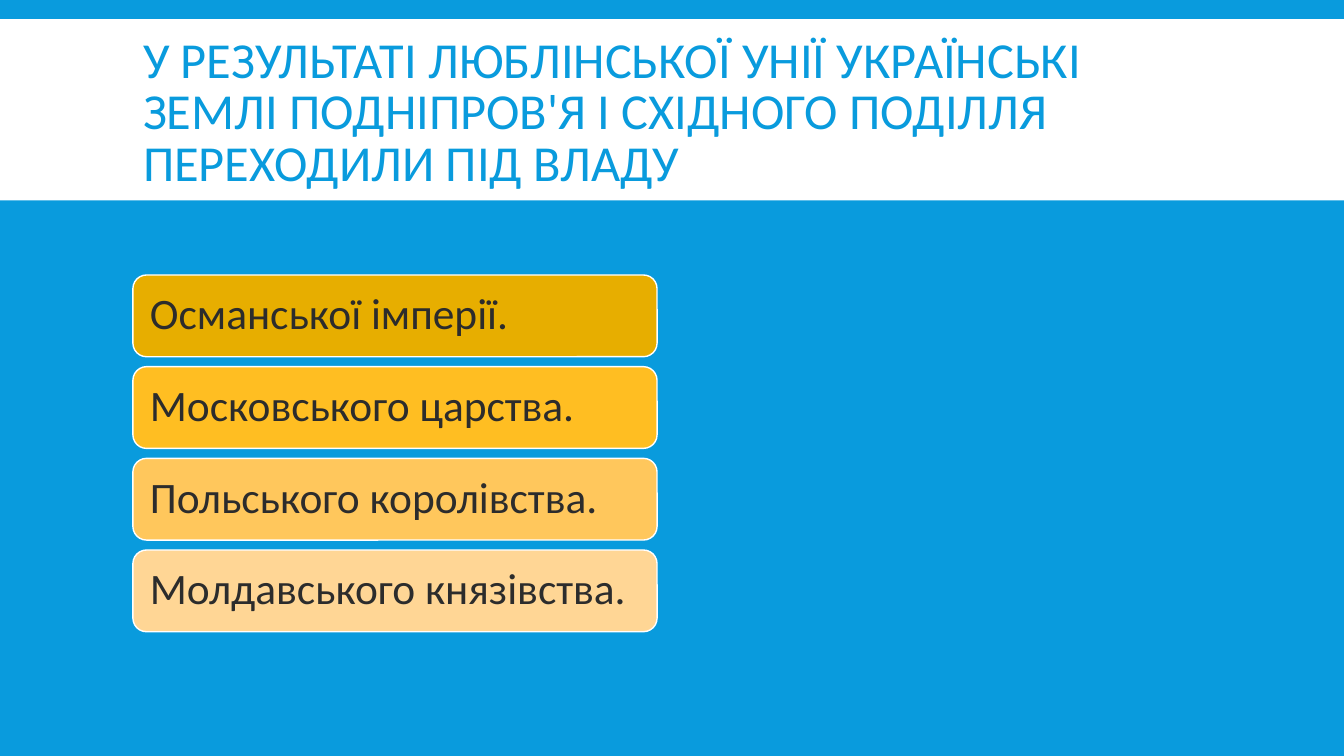
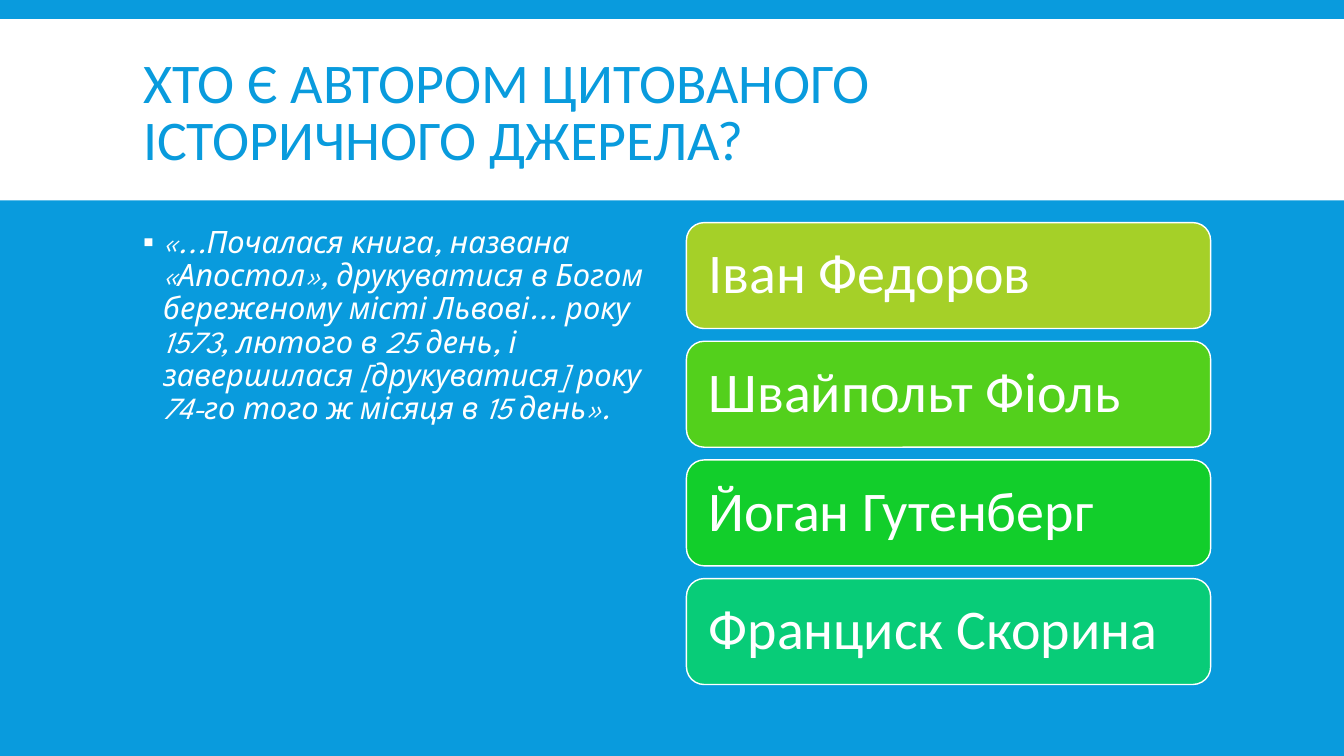
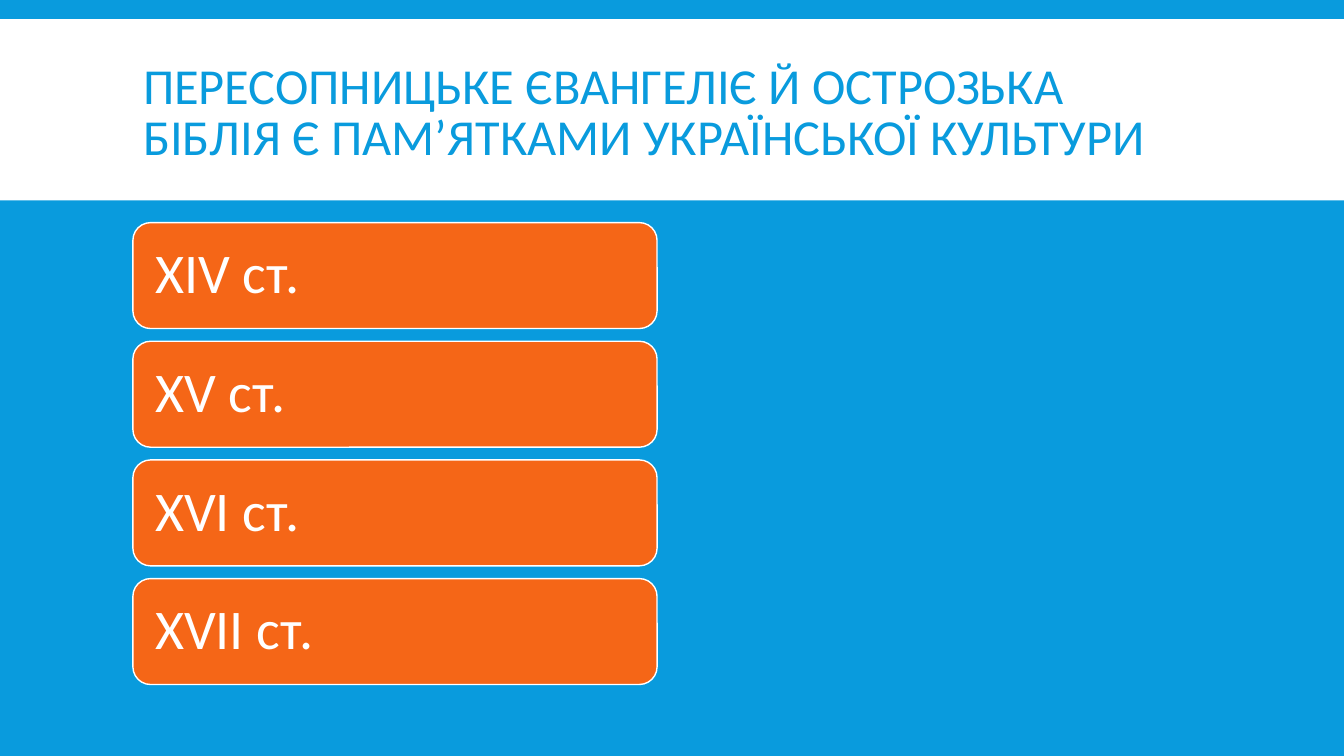
from lxml import etree
from pptx import Presentation
from pptx.dml.color import RGBColor
from pptx.enum import shapes, text
from pptx.oxml.ns import qn
from pptx.util import Cm, Pt

BLUE = RGBColor(0x09, 0x9B, 0xDD)
WHITE = RGBColor(0xFF, 0xFF, 0xFF)
DARK = RGBColor(0x2C, 0x2C, 0x2C)
ORANGE = RGBColor(0xF5, 0x66, 0x17)
GOLDS = [RGBColor(0xE7, 0xAE, 0x00), RGBColor(0xFF, 0xBE, 0x22),
         RGBColor(0xFF, 0xC7, 0x5C), RGBColor(0xFF, 0xD6, 0x95)]
GREENS = [RGBColor(0xA5, 0xD0, 0x28), RGBColor(0x53, 0xD0, 0x1C),
          RGBColor(0x12, 0xCE, 0x2B), RGBColor(0x08, 0xCC, 0x78)]
LEFT, RIGHT, WIDE = 3.35, 17.3, 13.21


class Quiz:
    """Quiz deck: shared style and the current slide."""

    def __init__(self):
        self.deck = Presentation()
        self.deck.slide_width = Cm(33.87)
        self.deck.slide_height = Cm(19.05)
        back = self.deck.slide_master.background.fill
        back.solid()
        back.fore_color.rgb = BLUE

    def place(self, item, left, top, width, height):
        item.left, item.top = Cm(left), Cm(top)
        item.width, item.height = Cm(width), Cm(height)

    def label(self, frame, words, size, color, gap=0.9, face="Calibri"):
        frame.word_wrap = True
        frame.auto_size = text.MSO_AUTO_SIZE.NONE
        para = frame.paragraphs[0]
        para.text = words
        para.alignment = text.PP_ALIGN.LEFT
        para.line_spacing = gap
        para.space_before = Pt(0)
        para.font.name = face
        para.font.size = Pt(size)
        para.font.color.rgb = color
        return para

    def shape(self, kind, left, top, width, height, fill):
        item = self.slide.shapes.add_shape(
            kind, Cm(left), Cm(top), Cm(width), Cm(height))
        item.shadow.inherit = False
        item.fill.solid()
        item.fill.fore_color.rgb = fill
        return item

    def page(self, title, size, layout=5):
        self.slide = self.deck.slides.add_slide(self.deck.slide_layouts[layout])
        band = self.shape(shapes.MSO_SHAPE.RECTANGLE, 0, 0.48, 33.87, 4.57, WHITE)
        band.line.fill.background()
        self.slide.shapes._spTree.insert(2, band._element)
        head = self.slide.shapes.title
        self.place(head, LEFT, 0.79, 27.18, 4.19)
        head.text_frame.vertical_anchor = text.MSO_ANCHOR.MIDDLE
        self.label(head.text_frame, title, size, BLUE, 0.85)

    def quote(self, words):
        body = self.slide.placeholders[1]
        self.place(body, LEFT, 5.59, WIDE, 11.68)
        frame = body.text_frame
        props = frame.paragraphs[0]._p.get_or_add_pPr()
        props.set("marL", str(Cm(0.51)))
        props.set("indent", str(Cm(-0.51)))
        etree.SubElement(props, qn("a:buFont")).set("typeface", "Calibri")
        etree.SubElement(props, qn("a:buChar")).set("char", "▪")
        para = self.label(frame, words, 22, WHITE, face="League Spartan")
        para.font.italic = True

    def stack(self, names, fills, left=LEFT, top=5.61, high=2.67, step=2.99,
              size=40, color=WHITE, inset=0.43):
        for row, (name, fill) in enumerate(zip(names, fills)):
            card = self.shape(shapes.MSO_SHAPE.ROUNDED_RECTANGLE,
                              left, top + row * step, WIDE, high, fill)
            card.line.color.rgb = WHITE
            card.line.width = Pt(1)
            frame = card.text_frame
            frame.margin_left = frame.margin_right = Cm(inset)
            frame.margin_top = frame.margin_bottom = Cm(inset)
            frame.vertical_anchor = text.MSO_ANCHOR.MIDDLE
            self.label(frame, name, size, color)


def main():
    quiz = Quiz()
    quiz.page("У РЕЗУЛЬТАТІ ЛЮБЛІНСЬКОЇ УНІЇ УКРАЇНСЬКІ ЗЕМЛІ ПОДНІПРОВ'Я "
              "І СХІДНОГО ПОДІЛЛЯ ПЕРЕХОДИЛИ ПІД ВЛАДУ", 36)
    quiz.stack(["Османської імперії.", "Московського царства.",
                "Польського королівства.", "Молдавського князівства."],
               GOLDS, top=6.93, high=2.06, step=2.31,
               size=31, color=DARK, inset=0.33)

    quiz.page("ХТО Є АВТОРОМ ЦИТОВАНОГО ІСТОРИЧНОГО ДЖЕРЕЛА?", 40, layout=1)
    quiz.quote("«...Почалася книга, названа «Апостол», друкуватися в Богом "
               "береженому місті Львові... року 1573, лютого в 25 день, і "
               "завершилася [друкуватися] року 74-го того ж місяця в 15 день».")
    quiz.stack(["Іван Федоров", "Швайпольт Фіоль", "Йоган Гутенберг",
                "Франциск Скорина"], GREENS, left=RIGHT)

    quiz.page("ПЕРЕСОПНИЦЬКЕ ЄВАНГЕЛІЄ Й ОСТРОЗЬКА БІБЛІЯ Є ПАМ’ЯТКАМИ "
              "УКРАЇНСЬКОЇ КУЛЬТУРИ", 36)
    quiz.stack(["XIV ст.", "XV ст.", "XVI ст.", "XVII ст."], [ORANGE] * 4)
    quiz.deck.save("out.pptx")


if __name__ == "__main__":
    main()
